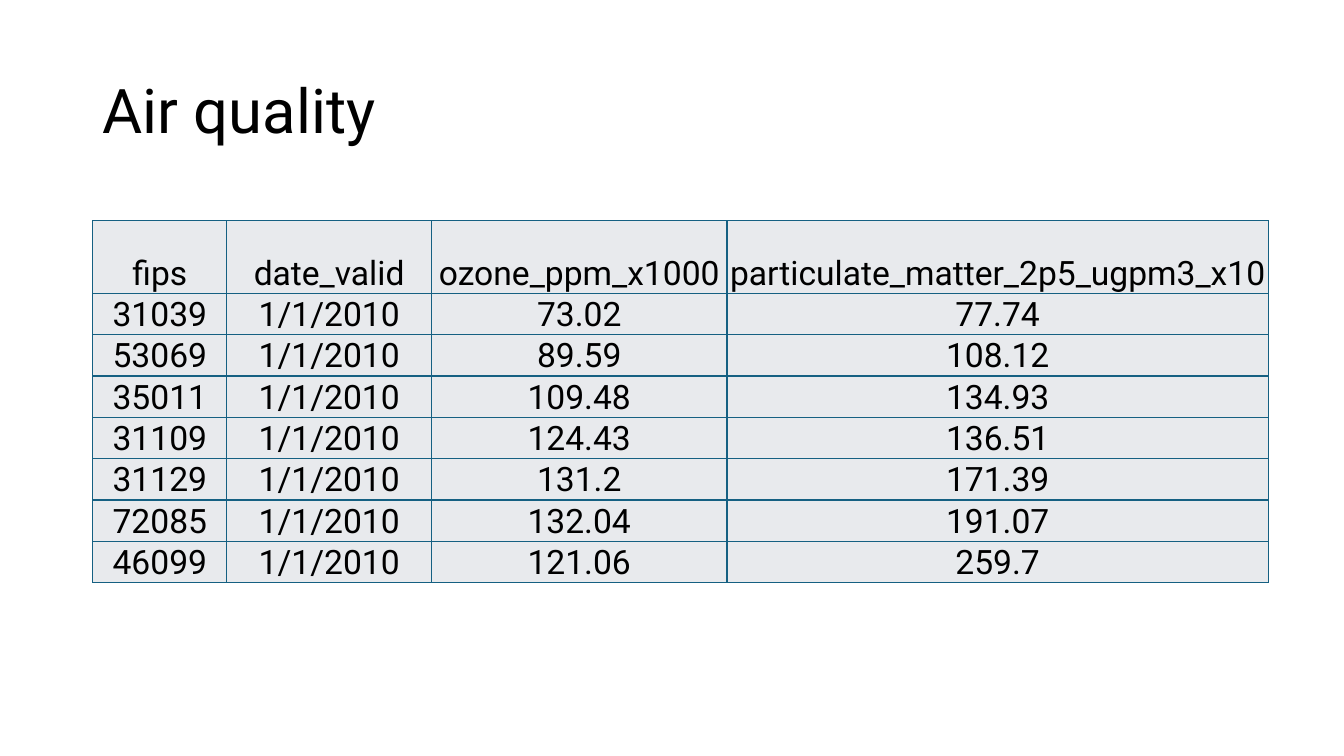
from lxml.etree import SubElement
from pptx import Presentation
from pptx.dml.color import RGBColor
from pptx.enum.text import MSO_ANCHOR, PP_ALIGN
from pptx.oxml.ns import qn
from pptx.util import Inches, Pt

FONT = "Roboto"
BLACK = "000000"
CELL_FILL = "E8EAED"
BORDER = "156082"
DATE = "1/1/2010"
HEADER = ["fips", "date_valid", "ozone_ppm_x1000", "particulate_matter_2p5_ugpm3_x10"]
READINGS = [
    ("31039", "73.02", "77.74"),
    ("53069", "89.59", "108.12"),
    ("35011", "109.48", "134.93"),
    ("31109", "124.43", "136.51"),
    ("31129", "131.2", "171.39"),
    ("72085", "132.04", "191.07"),
    ("46099", "121.06", "259.7"),
]
COL_WIDTHS = [1.33, 2.03, 2.93, 5.37]
HEADER_HEIGHT, ROW_HEIGHT = 0.72, 0.4


def rgb(color):
    """Return the colour for a hex string."""
    return RGBColor.from_string(color)


def write(tf, text, size=24, color=BLACK, align=PP_ALIGN.LEFT, spacing=None):
    """Put one formatted run of text into a text frame."""
    p = tf.paragraphs[0]
    p.alignment = align
    p.line_spacing = spacing
    r = p.add_run()
    r.text = text
    r.font.name = FONT
    r.font.size = Pt(size)
    r.font.color.rgb = rgb(color)


def set_borders(cell, color, width):
    """Draw a solid line on all four sides of a cell."""
    tc_pr = cell._tc.get_or_add_tcPr()
    for side in ("lnL", "lnR", "lnT", "lnB"):
        ln = SubElement(tc_pr, qn(f"a:{side}"), w=str(Pt(width)))
        fill = SubElement(ln, qn("a:solidFill"))
        SubElement(fill, qn("a:srgbClr"), val=color)


def add_title(slide, text, left, top, width, height):
    """Add the slide title, centred vertically in its box."""
    sp = slide.shapes.add_textbox(Inches(left), Inches(top), Inches(width), Inches(height))
    tf = sp.text_frame
    tf.word_wrap = True
    tf.vertical_anchor = MSO_ANCHOR.MIDDLE
    write(tf, text, size=44, spacing=0.9)


def format_cell(cell, text):
    """Fill, border and label one table cell."""
    cell.margin_left = cell.margin_right = cell.margin_top = Inches(0.01)
    cell.margin_bottom = 0
    cell.vertical_anchor = MSO_ANCHOR.BOTTOM
    set_borders(cell, BORDER, 1)
    cell.fill.solid()
    cell.fill.fore_color.rgb = rgb(CELL_FILL)
    write(cell.text_frame, text, align=PP_ALIGN.CENTER)


def add_readings_table(slide, left, top):
    """Add the table of air quality readings."""
    rows = [HEADER] + [(fips, DATE, ozone, matter) for fips, ozone, matter in READINGS]
    heights = [HEADER_HEIGHT] + [ROW_HEIGHT] * len(READINGS)
    table = slide.shapes.add_table(
        len(rows), len(HEADER), Inches(left), Inches(top),
        Inches(sum(COL_WIDTHS)), Inches(sum(heights)),
    ).table
    table.horz_banding = False
    for col, width in zip(table.columns, COL_WIDTHS):
        col.width = Inches(width)
    for row, height, values in zip(table.rows, heights, rows):
        row.height = Inches(height)
        for cell, value in zip(row.cells, values):
            format_cell(cell, value)


def main():
    """Build and save the air quality slide."""
    prs = Presentation()
    prs.slide_width, prs.slide_height = Inches(13.33), Inches(7.5)
    slide = prs.slides.add_slide(prs.slide_layouts[6])
    add_title(slide, "Air quality", 0.92, 0.4, 11.5, 1.45)
    add_readings_table(slide, 0.92, 2.19)
    prs.save("out.pptx")


if __name__ == "__main__":
    main()
